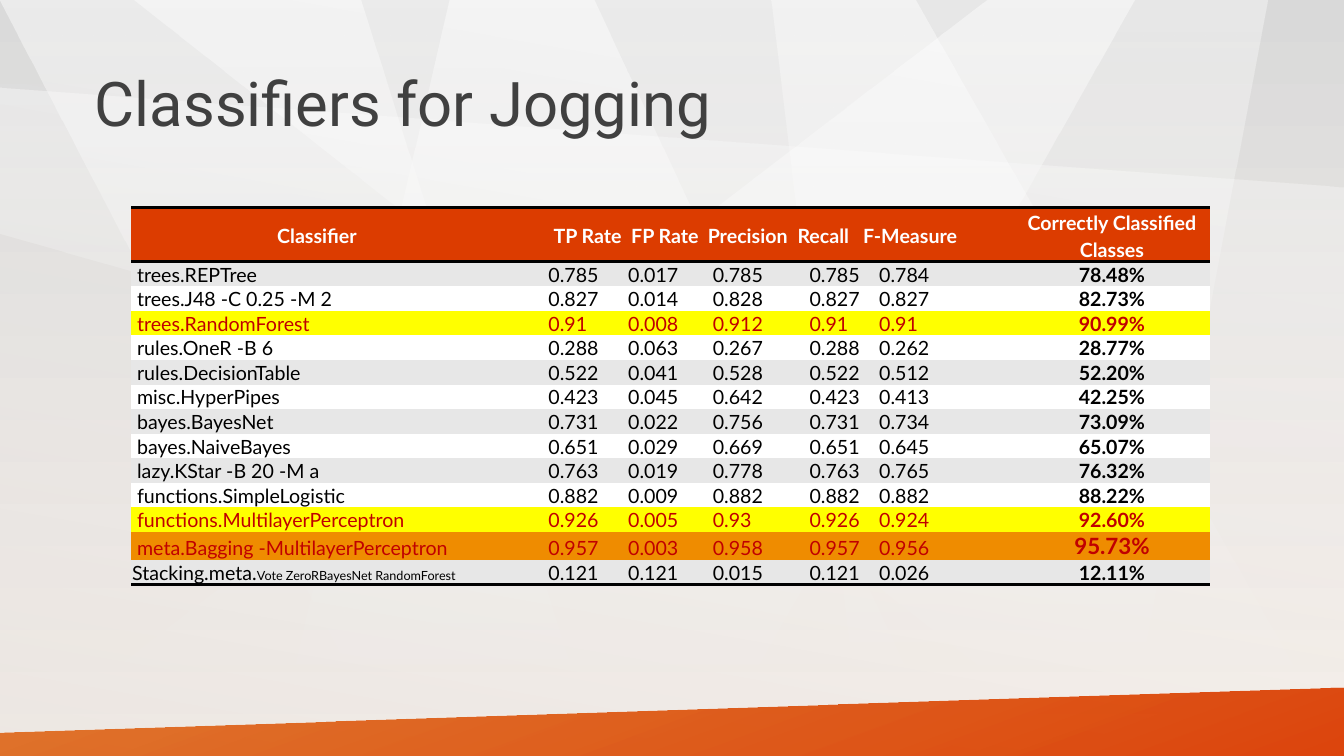
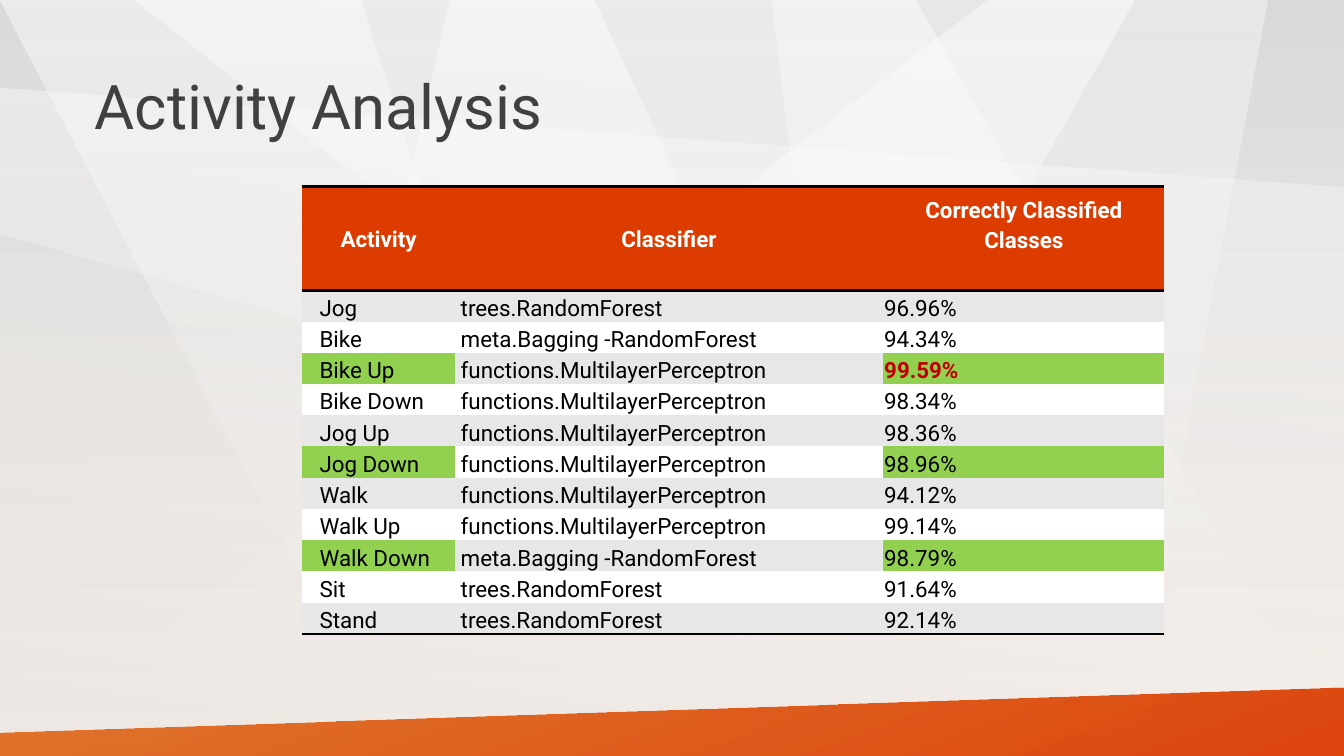
from dataclasses import dataclass

from pptx import Presentation
from pptx.dml.color import RGBColor
from pptx.enum.text import MSO_ANCHOR, PP_ALIGN
from pptx.enum.shapes import MSO_SHAPE
from pptx.oxml import parse_xml
from pptx.oxml.ns import nsdecls, qn
from pptx.util import Inches, Pt

WIDE, HIGH = 13.33, 7.5
NO_GRID = "{2D5ABB26-0587-4C30-8999-92F81FD0307C}"
BRAND, INK, WHITE, BLACK = "DC3C00", "404040", "FFFFFF", "000000"
GREY, RED, YELLOW, ORANGE, GREEN = "E7E7E7", "C00000", "FFFF00", "EF8C00", "92D050"


@dataclass(frozen=True)
class Blend:
    start: str
    end: str
    alphas: tuple[int, int]
    angle: int = 90


@dataclass(frozen=True)
class Facet:
    points: tuple[tuple[float, float], ...]
    blend: Blend


@dataclass(frozen=True)
class Look:
    font: str
    size: float
    color: str = BLACK
    bold: bool = False


@dataclass(frozen=True)
class Box:
    left: float = 0.01
    top: float = 0.01
    right: float = 0.01
    bottom: float = 0
    align: PP_ALIGN = PP_ALIGN.LEFT
    tabs: tuple[float, ...] = ()


@dataclass(frozen=True)
class Grid:
    left: float
    top: float
    cols: tuple[float, ...]
    rows: tuple[float, ...]


PAPER = Blend("D9D9D9", "FCF5EF", (50, 100))
VEIL = Blend(WHITE, WHITE, (50, 0))
THIN = Blend(WHITE, WHITE, (40, 0))
HAZE = Blend("BFBFBF", WHITE, (25, 0), 280)
FLAME = Blend("DD5900", BRAND, (80, 95), 70)

FACETS = (
    Facet(((9.79, 0), (0, HIGH), (7.01, HIGH), (11.25, 0)), VEIL),
    Facet(((0, 0), (3.58, 0), (5.94, HIGH), (3.91, HIGH)), VEIL),
    Facet(((1.32, 0), (9.07, 0), (WIDE, HIGH), (10.83, HIGH)), VEIL),
    Facet(((7.65, 0), (8.56, HIGH), (11.15, HIGH), (12.57, 0)), THIN),
    Facet(((5.89, 0), (4.46, 0), (2.72, HIGH), (9.39, HIGH)), VEIL),
    Facet(((0, 0.87), (WIDE, 1.86), (WIDE, 6.1), (0, 2.32)), THIN),
)
BAND = Facet(((0, 7.27), (WIDE, 6.82), (WIDE, HIGH), (0, HIGH)), FLAME)

JOG_HEAD = (
    "Classifier",
    "TP Rate\tFP Rate\tPrecision\tRecall\tF-Measure",
    "Correctly Classified Classes",
)
JOG_ROWS = (
    ("trees.REPTree", "0.785 0.017 0.785 0.785 0.784", "78.48%"),
    ("trees.J48 -C 0.25 -M 2", "0.827 0.014 0.828 0.827 0.827", "82.73%"),
    ("trees.RandomForest", "0.91 0.008 0.912 0.91 0.91", "90.99%"),
    ("rules.OneR -B 6", "0.288 0.063 0.267 0.288 0.262", "28.77%"),
    ("rules.DecisionTable", "0.522 0.041 0.528 0.522 0.512", "52.20%"),
    ("misc.HyperPipes", "0.423 0.045 0.642 0.423 0.413", "42.25%"),
    ("bayes.BayesNet", "0.731 0.022 0.756 0.731 0.734", "73.09%"),
    ("bayes.NaiveBayes", "0.651 0.029 0.669 0.651 0.645", "65.07%"),
    ("lazy.KStar -B 20 -M a", "0.763 0.019 0.778 0.763 0.765", "76.32%"),
    ("functions.SimpleLogistic", "0.882 0.009 0.882 0.882 0.882", "88.22%"),
    ("functions.MultilayerPerceptron", "0.926 0.005 0.93 0.926 0.924", "92.60%"),
    ("meta.Bagging -MultilayerPerceptron", "0.957 0.003 0.958 0.957 0.956", "95.73%"),
    ("Stacking.meta.", "0.121 0.121 0.015 0.121 0.026", "12.11%"),
)
JOG_MARKS = {3: YELLOW, 11: YELLOW, 12: ORANGE}

FOREST, BAGGED = "trees.RandomForest", "meta.Bagging -RandomForest"
NEURAL = "functions.MultilayerPerceptron"
ACT_HEAD = ("Activity", "Classifier", "Correctly Classified Classes")
ACT_ROWS = (
    ("Jog", FOREST, "96.96%"),
    ("Bike", BAGGED, "94.34%"),
    ("Bike Up", NEURAL, "99.59%"),
    ("Bike Down", NEURAL, "98.34%"),
    ("Jog Up", NEURAL, "98.36%"),
    ("Jog Down", NEURAL, "98.96%"),
    ("Walk", NEURAL, "94.12%"),
    ("Walk Up", NEURAL, "99.14%"),
    ("Walk Down", BAGGED, "98.79%"),
    ("Sit", FOREST, "91.64%"),
    ("Stand", FOREST, "92.14%"),
)
ACT_MARKS = {3, 6, 9}


def rgb(code: str) -> RGBColor:
    return RGBColor.from_string(code)


def shade(fill, blend: Blend) -> None:
    fill.gradient()
    fill.gradient_angle = 360 - blend.angle
    for stop, tone in zip(fill.gradient_stops, (blend.start, blend.end)):
        stop.color.rgb = rgb(tone)
    # Transparency of each stop
    for node, alpha in zip(fill._xPr.iter(qn("a:srgbClr")), blend.alphas):
        node.append(parse_xml(f'<a:alpha {nsdecls("a")} val="{alpha * 1000}"/>'))


def finish(shape, blend: Blend):
    shape.shadow.inherit = False
    shade(shape.fill, blend)
    shape.line.fill.background()
    return shape


def draw(slide, facet: Facet):
    points = [(Inches(x), Inches(y)) for x, y in facet.points]
    pen = slide.shapes.build_freeform(*points[0])
    pen.add_line_segments(points[1:], close=True)
    return finish(pen.convert_to_shape(), facet.blend)


def dress(layout, slide) -> None:
    """Draw the backdrop on a slide and move it to the shared layout."""
    shade(layout.background.fill, PAPER)
    parts = [draw(slide, facet) for facet in FACETS]
    haze = slide.shapes.add_shape(
        MSO_SHAPE.RECTANGLE, 0, 0, Inches(WIDE), Inches(HIGH))
    parts += [finish(haze, HAZE), draw(slide, BAND)]
    tree = layout.shapes._spTree
    for spot, part in enumerate(parts, 2):
        tree.insert(spot, part._element)


def style(run, look: Look) -> None:
    font = run.font
    font.name, font.size, font.bold = look.font, Pt(look.size), look.bold
    font.color.rgb = rgb(look.color)


def head(slide, text: str, top: float) -> None:
    title = slide.shapes.title
    title.left, title.top = Inches(0.84), Inches(top)
    title.width, title.height = Inches(11.57), Inches(1.52)
    frame = title.text_frame
    frame.text = text
    frame.vertical_anchor = MSO_ANCHOR.MIDDLE
    para = frame.paragraphs[0]
    para.alignment, para.line_spacing = PP_ALIGN.LEFT, 0.9
    style(para.runs[0], Look("Roboto", 44, INK))


def place(slide, grid: Grid):
    frame = slide.shapes.add_table(
        len(grid.rows), len(grid.cols), Inches(grid.left), Inches(grid.top),
        Inches(sum(grid.cols)), Inches(sum(grid.rows)))
    table = frame.table
    table.first_row = table.horz_banding = False
    table._tbl.tblPr.find(qn("a:tableStyleId")).text = NO_GRID
    for col, width in zip(table.columns, grid.cols):
        col.width = Inches(width)
    for row, height in zip(table.rows, grid.rows):
        row.height = Inches(height)
    return table


def rule(cell, sides: str) -> None:
    for side in sides:
        cell._tc.get_or_add_tcPr().append(parse_xml(
            f'<a:ln{side} {nsdecls("a")} w="{Pt(2)}"><a:solidFill>'
            f'<a:srgbClr val="{BLACK}"/></a:solidFill></a:ln{side}>'))


def write(cell, text: str, look: Look, fill: str, box: Box, sides: str = "") -> None:
    rule(cell, sides)
    cell.fill.solid()
    cell.fill.fore_color.rgb = rgb(fill)
    cell.margin_left, cell.margin_right = Inches(box.left), Inches(box.right)
    cell.margin_top, cell.margin_bottom = Inches(box.top), Inches(box.bottom)
    cell.vertical_anchor = MSO_ANCHOR.BOTTOM
    cell.text_frame.text = text
    para = cell.text_frame.paragraphs[0]
    para.alignment = box.align
    style(para.runs[0], look)
    if box.tabs:
        stops = "".join(f'<a:tab pos="{Inches(t)}" algn="l"/>' for t in box.tabs)
        para._p.get_or_add_pPr().append(
            parse_xml(f'<a:tabLst {nsdecls("a")}>{stops}</a:tabLst>'))


def top_row(table, texts: tuple[str, ...], look: Look, boxes: tuple[Box, ...]) -> None:
    for col, (text, box) in enumerate(zip(texts, boxes)):
        cell = table.cell(0, col)
        write(cell, text, look, BRAND, box, "TB")
        cell.vertical_anchor = MSO_ANCHOR.MIDDLE
        cell.text_frame.paragraphs[0].line_spacing = 1.15


def stripe(row: int) -> str:
    return GREY if row % 2 else WHITE


def jogging(slide) -> None:
    head(slide, "Classifiers for Jogging", 0.3)
    last = len(JOG_ROWS)
    heights = [0.2] * last
    heights[11] = 0.23
    table = place(slide, Grid(1.3, 2.06, (3.69, 5.07, 1.94), (0.42, *heights)))
    mid = Box(0.07, 0, 0.07, align=PP_ALIGN.CENTER)
    rates = Box(0.5, 0, 0.07, tabs=(0.77, 1.53, 2.42, 3.07))
    top_row(table, JOG_HEAD, Look("Lato", 14, WHITE, True), (mid, rates, mid))

    scores = Box(0.45, tabs=(0.79, 1.63, 2.59, 3.28))
    for row, (name, rates, share) in enumerate(JOG_ROWS, 1):
        mark = JOG_MARKS.get(row)
        fill, ink = mark or stripe(row), RED if mark else BLACK
        plain = Look("Lato", 14, ink)
        strong = Look("Lato", 16 if mark == ORANGE else 14, ink, True)
        sides = "B" if row == last else ""
        label = Box(0.01 if row == last else 0.06)
        write(table.cell(row, 0), name, plain, fill, label, sides)
        write(table.cell(row, 1), rates.replace(" ", "\t"), plain, fill, scores, sides)
        write(table.cell(row, 2), share, strong, fill, Box(align=PP_ALIGN.CENTER), sides)

    # Members of the stacked classifier, in small type
    run = table.cell(last, 0).text_frame.paragraphs[0].add_run()
    run.text = "Vote ZeroRBayesNet RandomForest"
    style(run, Look("Lato", 9))


def activity(slide) -> None:
    head(slide, "Activity Analysis", 0.33)
    last = len(ACT_ROWS)
    table = place(slide, Grid(3, 1.85, (1.51, 4.25, 2.79), (1.03, *[0.31] * last)))
    mid = Box(0.07, 0, 0.07, align=PP_ALIGN.CENTER)
    high = Box(0.07, 0, 0.07, 0.29, PP_ALIGN.CENTER)
    top_row(table, ACT_HEAD, Look("Roboto", 16, WHITE, True), (mid, mid, high))

    best = max(share for _, _, share in ACT_ROWS)
    boxes = (Box(0.17), Box(0.06), Box())
    for row, texts in enumerate(ACT_ROWS, 1):
        for col, (text, box) in enumerate(zip(texts, boxes)):
            fill = GREEN if row in ACT_MARKS and col != 1 else stripe(row)
            top = text == best
            look = Look("Roboto", 16, RED if top else BLACK, top)
            write(table.cell(row, col), text, look, fill, box, "B" if row == last else "")


def main() -> None:
    deck = Presentation()
    deck.slide_width, deck.slide_height = Inches(WIDE), Inches(HIGH)
    layout = deck.slide_layouts[5]
    first, second = (deck.slides.add_slide(layout) for _ in range(2))
    dress(layout, first)
    jogging(first)
    activity(second)
    deck.save("out.pptx")


if __name__ == "__main__":
    main()
